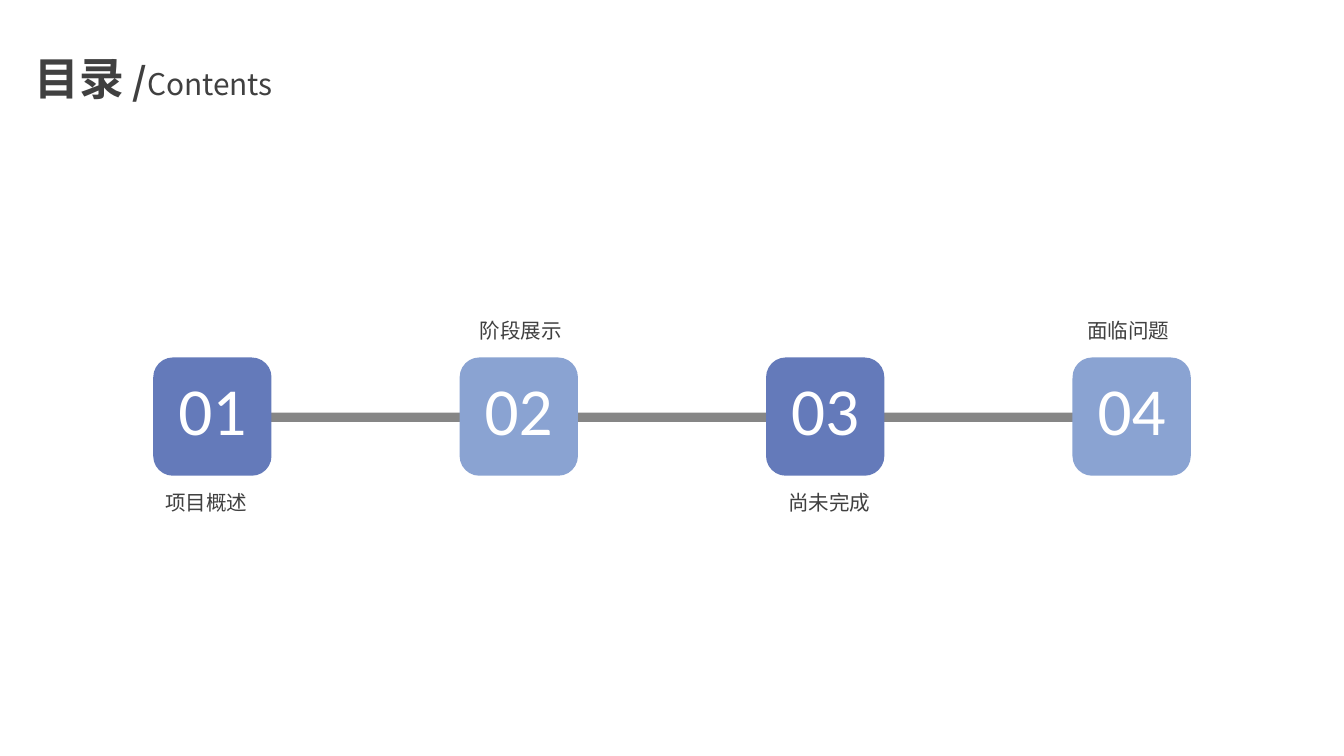
from lxml import etree
from pptx import Presentation
from pptx.dml.color import RGBColor
from pptx.enum.shapes import MSO_SHAPE as SHAPE
from pptx.enum.text import MSO_ANCHOR as ANCHOR, MSO_AUTO_SIZE as AUTO, PP_ALIGN as ALIGN
from pptx.oxml.ns import qn
from pptx.util import Inches, Pt

CJK = "Noto Sans CJK SC"


def paint(fill, color):
    fill.solid()
    fill.fore_color.rgb = RGBColor.from_string(color)


def add_run(p, text, color, **fmt):
    r = p.add_run()
    r.text = text
    for name, value in fmt.items():
        setattr(r.font, name, value)
    paint(r.font.fill, color)
    ea = etree.SubElement(r.font._element, qn("a:ea"))
    ea.set("typeface", fmt["name"])


prs = Presentation()
prs.slide_width, prs.slide_height = Inches(10), Inches(10 * 9 / 16)
s = prs.slides.add_slide(prs.slide_layouts[5])

title = s.shapes.title
title.left, title.top = Inches(-0.12), Inches(0.25)
title.width, title.height = Inches(2.53), Inches(0.54)
tf = title.text_frame
for name, value in {"word_wrap": True, "auto_size": AUTO.NONE, "vertical_anchor": ANCHOR.TOP}.items():
    setattr(tf, name, value)
p = tf.paragraphs[0]
p.alignment, p.line_spacing = ALIGN.CENTER, 1.2
for text, size, bold in [("目录", 24, True), (" /", 20, True), ("Contents", 16, False)]:
    add_run(p, text, "404040", name=CJK, size=Pt(size), bold=bold)

bar = s.shapes.add_shape(SHAPE.RECTANGLE, Inches(1.57), Inches(3.07), Inches(6.85), Inches(0.07))
bar.shadow.inherit = False
bar.line.fill.background()
paint(bar.fill, "808080")
alpha = etree.SubElement(bar._element.spPr.find(".//" + qn("a:srgbClr")), qn("a:alpha"))
alpha.set("val", "95000")

sections = [
    ("项目概述", 1.13, 3.6, ALIGN.LEFT),
    ("阶段展示", 3.47, 2.32, ALIGN.LEFT),
    ("尚未完成", 5.76, 3.6, ALIGN.CENTER),
    ("面临问题", 7.99, 2.32, ALIGN.LEFT),
]
for i, (label, left, top, align) in enumerate(sections):
    sp = s.shapes.add_shape(SHAPE.ROUNDED_RECTANGLE, Inches(1.14 + i * 2.28), Inches(2.66),
                            Inches(0.88), Inches(0.88))
    sp.shadow.inherit = False
    sp.line.fill.background()
    paint(sp.fill, ("647ABA", "8AA3D2")[i % 2])
    tf = sp.text_frame
    tf.vertical_anchor = ANCHOR.TOP
    tf.margin_left = tf.margin_right = Inches(0.07)
    tf.margin_top = tf.margin_bottom = Inches(0.04)
    p = tf.paragraphs[0]
    p.alignment = ALIGN.CENTER
    add_run(p, f"{i + 1:02}", "FFFFFF", name="Calibri", size=Pt(36))

    tb = s.shapes.add_textbox(Inches(left), Inches(top), Inches(0.82), Inches(0.29))
    tf = tb.text_frame
    tf.word_wrap, tf.auto_size = False, AUTO.SHAPE_TO_FIT_TEXT
    p = tf.paragraphs[0]
    p.alignment = align
    add_run(p, label, "404040", name=CJK, size=Pt(11))

prs.save("out.pptx")
